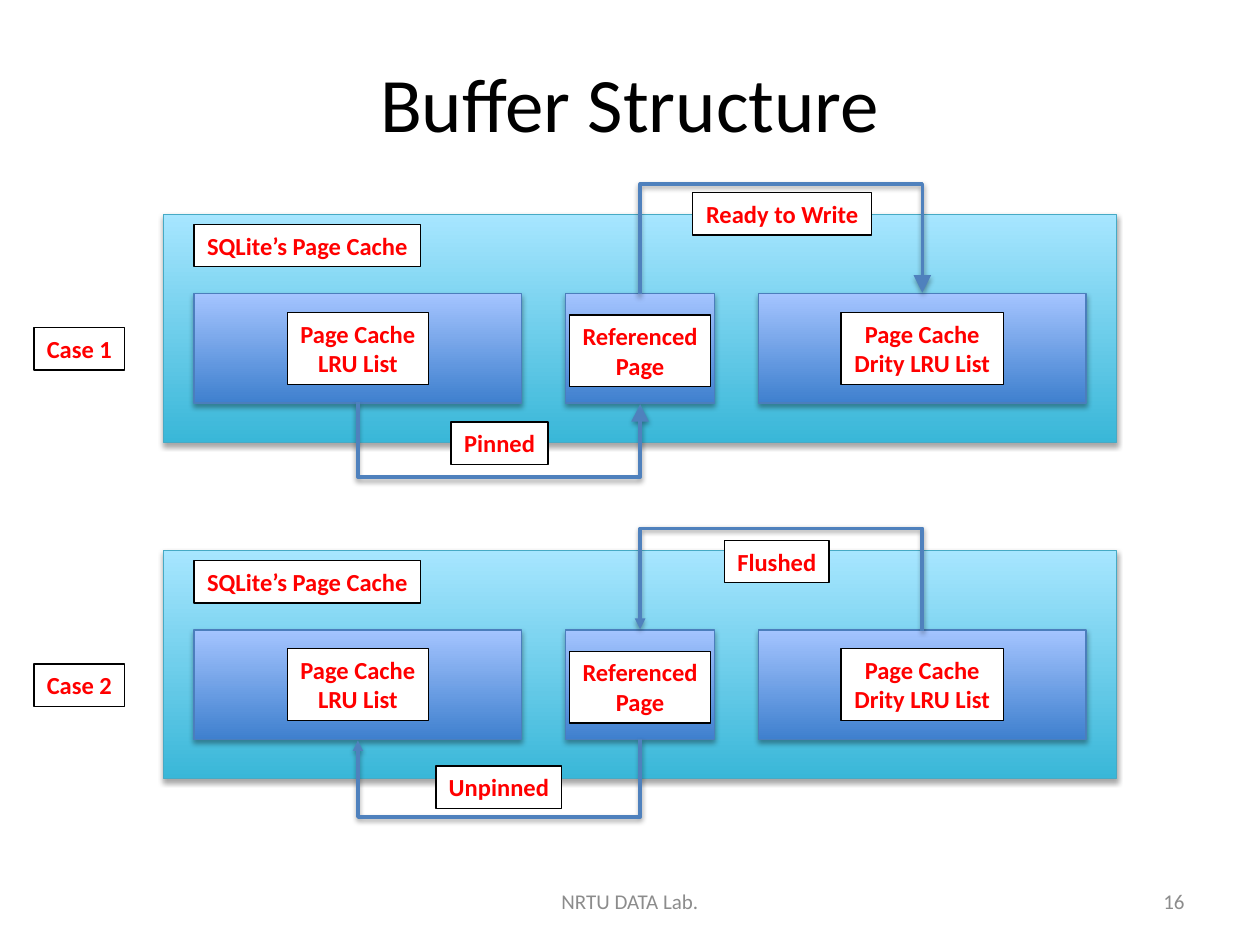
from lxml.etree import SubElement as Sub
from pptx import Presentation
from pptx.dml.color import RGBColor as RGB
from pptx.enum.shapes import MSO_CONNECTOR as Link, MSO_SHAPE as Kind
from pptx.enum.text import MSO_ANCHOR as Anchor, MSO_AUTO_SIZE as Auto, PP_ALIGN as Align
from pptx.oxml.ns import qn
from pptx.util import Pt

BLACK = RGB(0x00, 0x00, 0x00)
WHITE = RGB(0xFF, 0xFF, 0xFF)
RED = RGB(0xFF, 0x00, 0x00)
GRAY = RGB(0x8C, 0x8C, 0x8C)
ARROW = RGB(0x4F, 0x81, 0xBD)
# Gradient bottom, gradient top, outline
CYAN = RGB(0x39, 0xB7, 0xD8), RGB(0xA7, 0xE6, 0xFF), RGB(0x46, 0xAA, 0xC5)
BLUE = RGB(0x3F, 0x80, 0xCE), RGB(0xA4, 0xC4, 0xFF), RGB(0x4B, 0x7E, 0xBC)
FONT = "Calibri"

deck = Presentation()
deck.slide_width, deck.slide_height = Pt(720), Pt(540)
slide = deck.slides.add_slide(deck.slide_layouts[5])
shapes = slide.shapes


def shade(item, dist, alpha):
    """Give a shape or connector a soft shadow straight below it."""
    effects = Sub(item._element.spPr, qn("a:effectLst"))
    outer = Sub(effects, qn("a:outerShdw"), blurRad=str(Pt(3.15)),
                dist=str(Pt(dist)), dir="5400000", rotWithShape="0")
    color = Sub(outer, qn("a:srgbClr"), val="000000")
    Sub(color, qn("a:alpha"), val=str(alpha * 1000))


def label(text, mid, top, wide):
    """Add a white tag with red bold text, centred on mid."""
    high = 41 if "\n" in text else 24.2
    tag = shapes.add_textbox(Pt(mid - wide / 2), Pt(top), Pt(wide), Pt(high))
    tag.fill.solid()
    tag.fill.fore_color.rgb = WHITE
    tag.line.color.rgb = BLACK
    tag.line.width = Pt(0.75)
    frame = tag.text_frame
    frame.text = text
    frame.word_wrap = False
    frame.auto_size = Auto.SHAPE_TO_FIT_TEXT
    for para in frame.paragraphs:
        para.alignment = Align.CENTER
        font = para.font
        font.name, font.size, font.bold = FONT, Pt(14), True
        font.color.rgb = RED


# Title
title = shapes.title
title.left, title.top, title.width, title.height = Pt(48), Pt(21.6), Pt(624), Pt(73.4)
title.text_frame.text = "Buffer Structure"
title.text_frame.vertical_anchor = Anchor.MIDDLE
para = title.text_frame.paragraphs[0]
para.alignment = Align.CENTER
para.font.name, para.font.size = FONT, Pt(44)
para.font.color.rgb = BLACK

# Footer and page number
for text, left, wide, align in (("NRTU DATA Lab.", 246, 228, Align.CENTER),
                                ("16", 516, 168, Align.RIGHT)):
    note = shapes.add_textbox(Pt(left), Pt(500.5), Pt(wide), Pt(28.8))
    frame = note.text_frame
    frame.text = text
    frame.word_wrap = True
    frame.vertical_anchor = Anchor.MIDDLE
    para = frame.paragraphs[0]
    para.alignment = align
    para.font.name, para.font.size = FONT, Pt(12)
    para.font.color.rgb = GRAY

# Lists inside each panel: centre, width, text, text offset, text width
LISTS = (
    (204.5, 187.2, "Page Cache\nLRU List", 56.2, 80.6),
    (365.8, 85, "Referenced\nPage", 57.6, 80.6),
    (527, 187.2, "Page Cache\nDrity LRU List", 56.2, 92.9),
)
LRU, REF, DIRTY = (row[0] for row in LISTS)
BOX_TOP, BOX_HIGH = 45.4, 62.6

# Arrows: start, end, depth (negative runs above), then text, centre, top, width
CASES = (
    ("Case 1", 122.4, "lg", (
        (LRU, REF, 43.1, "Pinned", 285.5, 241.2, 55.4),
        (REF, DIRTY, -63.6, "Ready to Write", 447, 110.2, 102.2))),
    ("Case 2", 314.6, "med", (
        (DIRTY, REF, -59, "Flushed", 443.9, 308.9, 59.8),
        (REF, LRU, 45.1, "Unpinned", 285.1, 437.8, 72))),
)

for name, top, head, arrows in CASES:
    # Panel and its three boxes
    rects = [(93.6, top, 544.3, 130.3, CYAN)]
    rects += [(mid - wide / 2, top + BOX_TOP, wide, BOX_HIGH, BLUE)
              for mid, wide, *_ in LISTS]
    for left, y, wide, high, (low, light, edge) in rects:
        rect = shapes.add_shape(Kind.RECTANGLE, Pt(left), Pt(y), Pt(wide), Pt(high))
        rect.fill.gradient()
        rect.fill.gradient_angle = 90
        for stop, color in zip(rect.fill.gradient_stops, (low, light)):
            stop.color.rgb = color
        rect.line.color.rgb = edge
        rect.line.width = Pt(0.75)
        shade(rect, 1.8, 35)

    # Names of the case, the panel and the boxes
    label(name, 45.4, top + 64.8, 51.8)
    label("SQLite’s Page Cache", 175.7, top + 5.8, 129.6)
    for mid, _, text, drop, wide in LISTS:
        label(text, mid, top + drop, wide)

    # Elbow arrows: a 1 pt wide upright elbow, turned on its side
    for start, end, depth, *tag in arrows:
        mid, half = (start + end) / 2, abs(end - start) / 2
        y = top + BOX_TOP + (BOX_HIGH if depth > 0 else 0)
        right, below = end > start, depth > 0
        side = 0.5 if right else -0.5
        rise = half if below else -half
        if right:
            rise = -rise if below else -rise
        turn = 90 if right != below else 270
        if turn == 270:
            # a quarter turn left maps local down to the right
            rise = half if start > mid else -half
        else:
            rise = half if start < mid else -half
        arrow = shapes.add_connector(Link.ELBOW, Pt(mid + side), Pt(y + rise),
                                     Pt(mid - side), Pt(y - rise))
        props = arrow._element.spPr
        props.find(qn("a:xfrm")).set("rot", str(turn * 60000))
        guides = props.find(qn("a:prstGeom")).get_or_add_avLst()
        Sub(guides, qn("a:gd"), name="adj1", fmla=f"val {round(abs(depth) * 100000)}")
        arrow.line.color.rgb = ARROW
        arrow.line.width = Pt(2)
        Sub(props.find(qn("a:ln")), qn("a:tailEnd"), type="triangle", w=head, len=head)
        shade(arrow, 1.6, 38)
        label(*tag)

deck.save("out.pptx")
